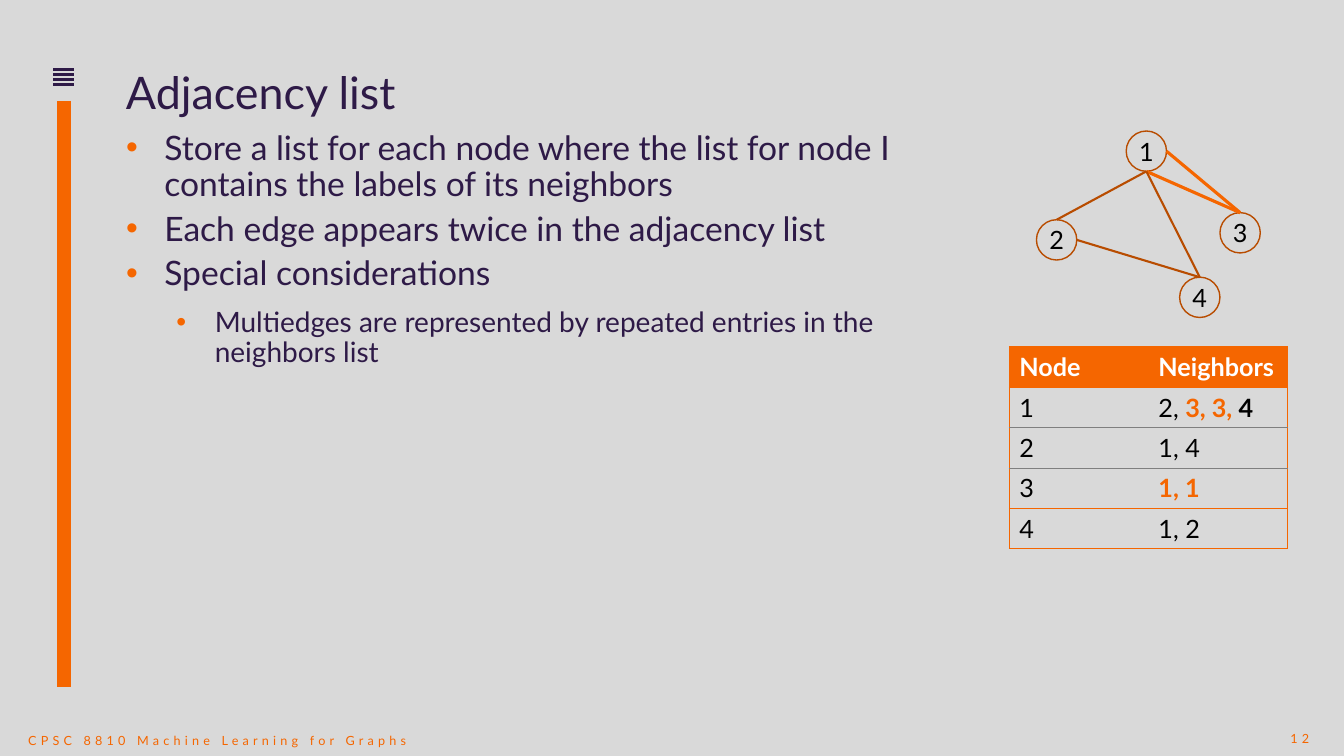
from lxml import etree
from pptx import Presentation
from pptx.dml.color import RGBColor
from pptx.enum.shapes import MSO_CONNECTOR, MSO_SHAPE
from pptx.enum.text import MSO_ANCHOR, PP_ALIGN
from pptx.oxml.ns import qn
from pptx.util import Inches, Pt

STRAIGHT = MSO_CONNECTOR.STRAIGHT
OVAL = MSO_SHAPE.OVAL
TOP, MIDDLE = MSO_ANCHOR.TOP, MSO_ANCHOR.MIDDLE
LEFT, CENTER = PP_ALIGN.LEFT, PP_ALIGN.CENTER

FONT = "Lato"
PURPLE, ORANGE, RUST = "2E1A47", "F56600", "B84C00"
GREY, BACKGROUND, BLACK, WHITE = "7F7F7F", "D9D9D9", "000000", "FFFFFF"

BULLETS = [
    (0, "Store a list for each node where the list for node I contains the labels of its neighbors"),
    (0, "Each edge appears twice in the adjacency list"),
    (0, "Special considerations"),
    (1, "Multiedges are represented by repeated entries in the neighbors list"),
]
LEVELS = [
    {"size": 24, "indent": 0.38, "before": 0},
    {"size": 20, "indent": 0.88, "before": 5},
]
NODES = {"1": (0.89, 0), "2": (0, 0.88), "3": (1.82, 0.81), "4": (1.42, 1.45)}
EDGES = [
    ("1", "bottom", "2", "top", RUST, 1.5),
    ("1", "bottom", "3", "top", ORANGE, 2.25),
    ("1", "bottom", "4", "top", RUST, 1.5),
    ("4", "top", "2", "right", RUST, 1.5),
    ("1", "right", "3", "top", ORANGE, 2.25),
]
SIDES = {"top": (0.5, 0), "bottom": (0.5, 1), "right": (1, 0.5)}
NEIGHBORS = [
    ("1", [("2, ", BLACK, False), ("3, 3, ", ORANGE, True), ("4", BLACK, True)]),
    ("2", [("1, 4", BLACK, False)]),
    ("3", [("1, 1", ORANGE, True)]),
    ("4", [("1, 2", BLACK, False)]),
]


def color(value):
    return RGBColor.from_string(value)


def apply(target, values):
    for name, value in values.items():
        setattr(target, name, value)


def add_span(para, text, size, hue, bold=False, spacing=0):
    span = para.add_run()
    span.text = text
    apply(span.font, {"name": FONT, "size": Pt(size), "bold": bold})
    span.font.color.rgb = color(hue)
    if spacing:
        span._r.get_or_add_rPr().set("spc", str(spacing * 100))


def set_frame(frame, anchor=TOP, top=0, wrap=True):
    apply(frame, {"margin_left": 0, "margin_right": 0, "margin_bottom": 0,
                  "margin_top": Inches(top), "word_wrap": wrap, "vertical_anchor": anchor})
    return frame


def add_box(page, box, anchor=TOP, top=0):
    shape = page.shapes.add_textbox(*map(Inches, box))
    return set_frame(shape.text_frame, anchor, top)


def add_line(page, start, end, hue, width):
    line = page.shapes.add_connector(STRAIGHT, *map(Inches, (*start, *end)))
    line.line.color.rgb = color(hue)
    line.line.width = Pt(width)
    etree.SubElement(line._element.spPr, qn("a:effectLst"))


def add_bullet(para):
    props = para._p.get_or_add_pPr()
    hue = etree.SubElement(props, qn("a:buClr"))
    etree.SubElement(hue, qn("a:srgbClr"), val=ORANGE)
    etree.SubElement(props, qn("a:buFont"), typeface="Arial")
    etree.SubElement(props, qn("a:buChar"), char="•")


def add_sidebar(page, left, top, width, height):
    for index in range(4):
        y = top + index * 0.05
        add_line(page, (left, y), (left + width, y), PURPLE, 1.75)
    middle = left + width / 2
    add_line(page, (middle, top + 0.31), (middle, top + height), ORANGE, 10)


def add_small_text(page, box, text, align):
    para = add_box(page, box, MIDDLE, 0.05).paragraphs[0]
    para.alignment = align
    add_span(para, text, 9, ORANGE, spacing=3)


def add_title(page, box, text):
    para = add_box(page, box).paragraphs[0]
    para.line_spacing = 0.9
    add_span(para, text, 32, PURPLE)


def add_body(page, box):
    frame = add_box(page, box)
    for index, (level, text) in enumerate(BULLETS):
        para = frame.add_paragraph() if index else frame.paragraphs[0]
        style = LEVELS[level]
        apply(para, {"level": level, "line_spacing": 0.9, "space_after": Pt(6),
                     "space_before": Pt(style["before"])})
        props = para._p.get_or_add_pPr()
        props.set("marL", str(Inches(style["indent"])))
        props.set("indent", str(Inches(-0.38)))
        add_bullet(para)
        add_span(para, text, style["size"], PURPLE)


def add_graph(page, left, top, diameter):
    def site(node, side):
        return [origin + offset + share * diameter
                for origin, offset, share in zip((left, top), NODES[node], SIDES[side])]

    for label, (x, y) in NODES.items():
        box = (left + x, top + y, diameter, diameter)
        node = page.shapes.add_shape(OVAL, *map(Inches, box))
        node.shadow.inherit = False
        node.fill.background()
        node.line.color.rgb = color(RUST)
        node.line.width = Pt(1)
        para = set_frame(node.text_frame, MIDDLE, wrap=False).paragraphs[0]
        para.alignment = CENTER
        add_span(para, label, 18, BLACK)
    for first, first_side, second, second_side, hue, width in EDGES:
        add_line(page, site(first, first_side), site(second, second_side), hue, width)


def add_border(cell, side, hue):
    props = cell._tc.get_or_add_tcPr()
    border = etree.SubElement(props, qn(f"a:ln{side}"), w=str(Pt(0.5)))
    if hue is None:
        etree.SubElement(border, qn("a:noFill"))
    else:
        fill = etree.SubElement(border, qn("a:solidFill"))
        etree.SubElement(fill, qn("a:srgbClr"), val=hue)


def add_neighbor_table(page, left, top, width, row_height):
    rows = [("Node", [("Neighbors", WHITE, True)])] + NEIGHBORS
    rules = [ORANGE, ORANGE, GREY, GREY, ORANGE, ORANGE]
    box = (left, top, width, row_height * len(rows))
    table = page.shapes.add_table(len(rows), 2, *map(Inches, box)).table
    table.horz_banding = False
    for row, (node, neighbors) in enumerate(rows):
        header = row == 0
        spans = [[(node, WHITE if header else BLACK, header)], neighbors]
        for column, parts in enumerate(spans):
            cell = table.cell(row, column)
            for part in parts:
                add_span(cell.text_frame.paragraphs[0], part[0], 18, *part[1:])
            add_border(cell, "L", None if column else ORANGE)
            add_border(cell, "R", ORANGE if column else None)
            add_border(cell, "T", rules[row])
            add_border(cell, "B", rules[row + 1])
            if header:
                cell.fill.solid()
                cell.fill.fore_color.rgb = color(ORANGE)
            else:
                cell.fill.background()


def main():
    deck = Presentation()
    apply(deck, {"slide_width": Inches(13.33), "slide_height": Inches(7.5)})
    page = deck.slides.add_slide(deck.slide_layouts[6])
    page.background.fill.solid()
    page.background.fill.fore_color.rgb = color(BACKGROUND)
    add_small_text(page, (0.28, 7.14, 3.97, 0.36), "CPSC 8810 Machine Learning for Graphs", LEFT)
    add_sidebar(page, 0.53, 0.69, 0.2, 6.13)
    add_small_text(page, (12.73, 7.17, 0.32, 0.26), "12", CENTER)
    add_title(page, (1.25, 0.7, 11.5, 0.48), "Adjacency list")
    add_body(page, (1.25, 1.3, 8.29, 2.38))
    add_graph(page, 10.28, 1.3, 0.4)
    add_neighbor_table(page, 10.01, 3.44, 2.76, 0.4)
    deck.save("out.pptx")


if __name__ == "__main__":
    main()
